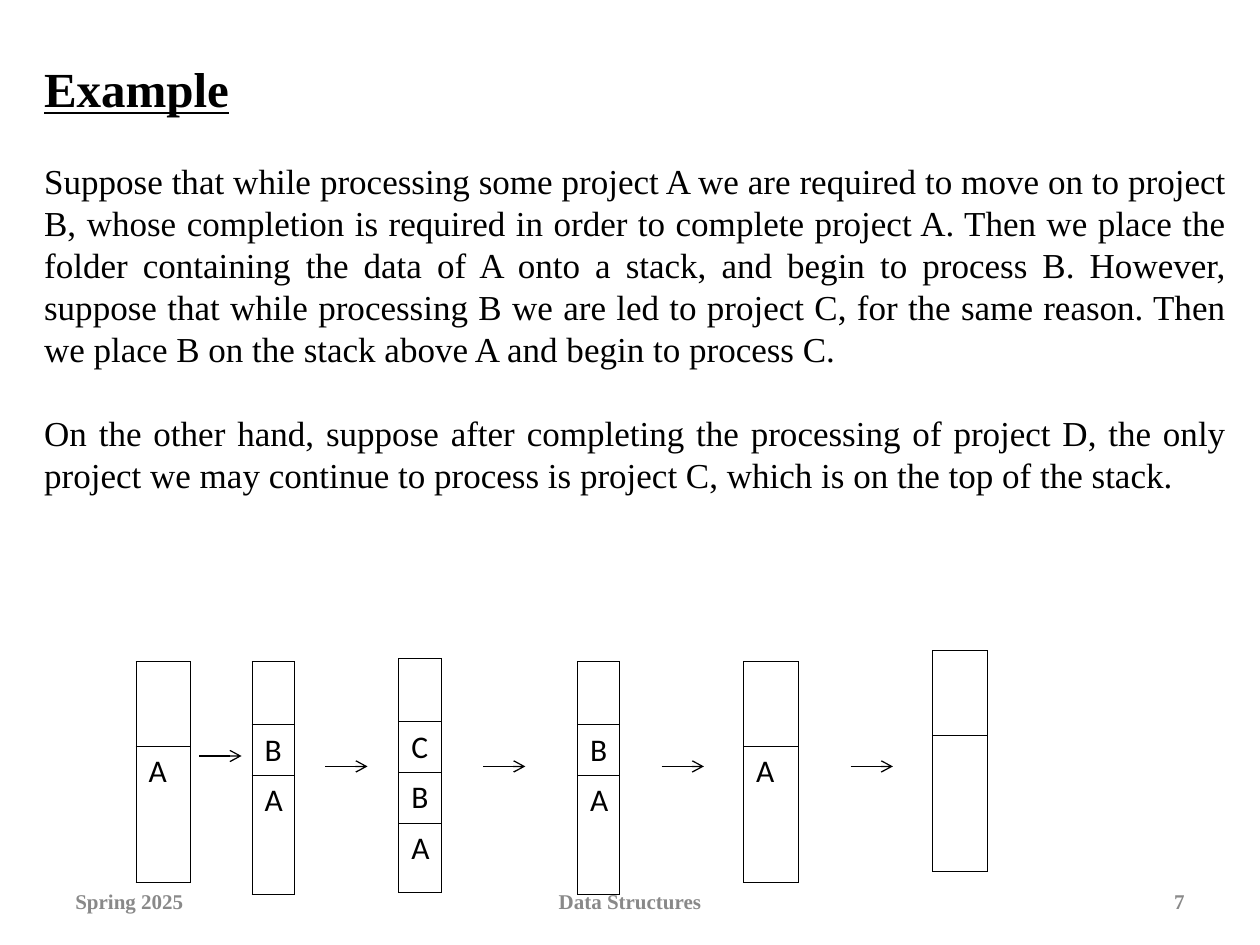
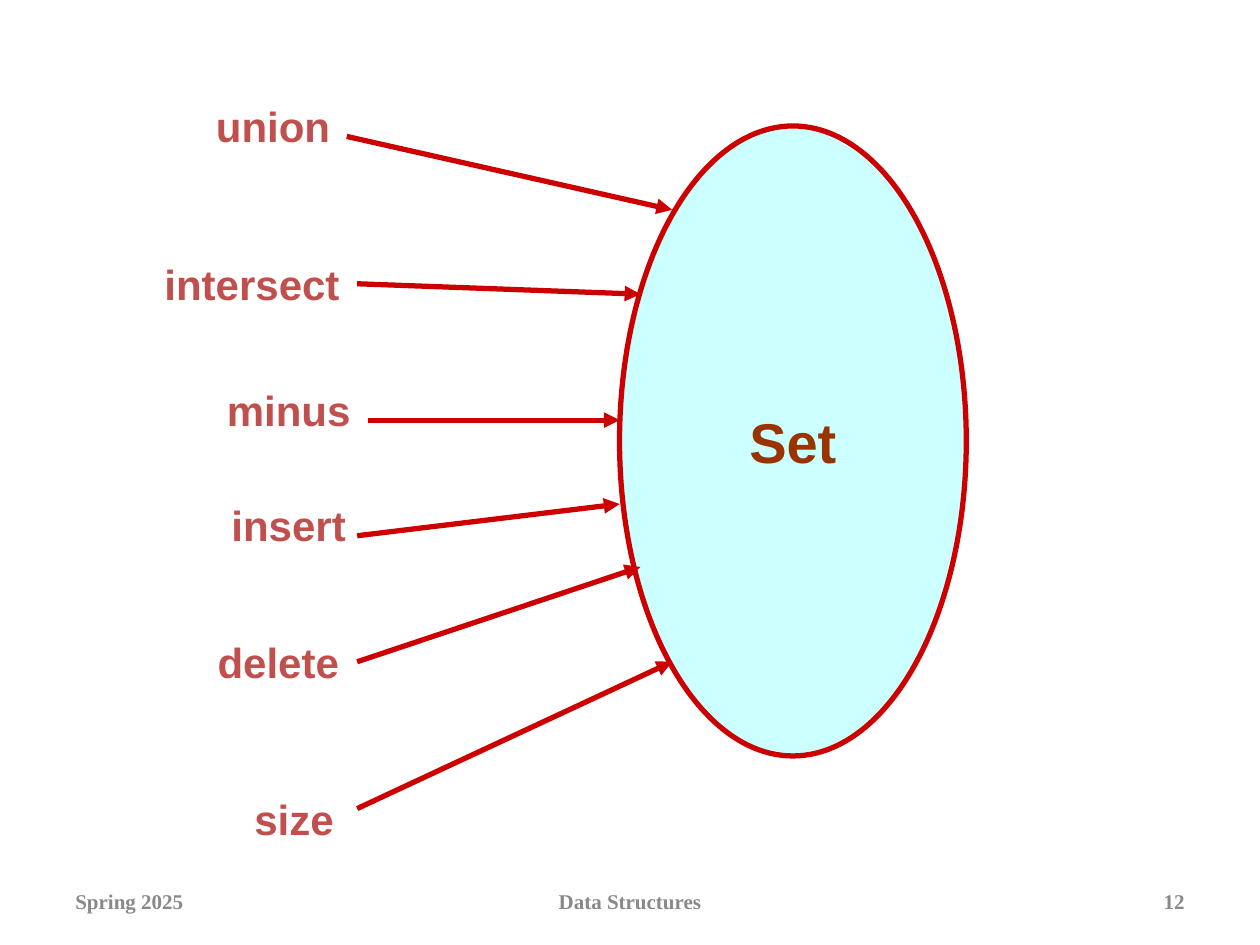
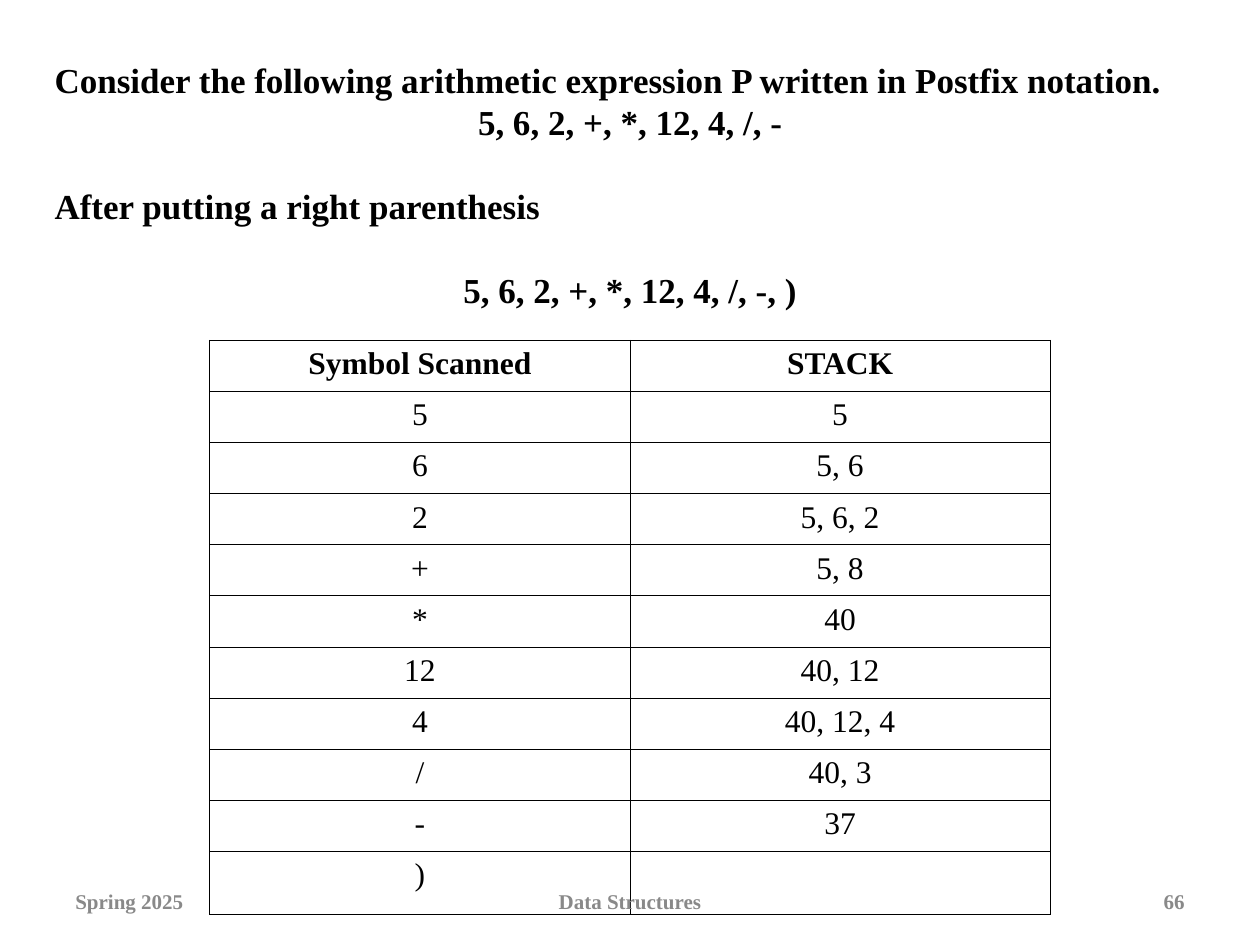
import pptx
import pptx.util
import pptx.dml.color
import pptx.enum.shapes
import pptx.enum.text
import pptx.oxml
import pptx.oxml.ns
from pptx.util import Cm, Pt

COLORS = {"black": "000000", "footer": "898989", "red": "CC0000",
          "cyan": "CCFFFF", "brown": "993300", "label": "C0504D"}
SERIF, SANS, CELL = "Times New Roman", "Arial", "Calibri"
ALIGN = {"l": pptx.enum.text.PP_ALIGN.LEFT, "c": pptx.enum.text.PP_ALIGN.CENTER,
         "r": pptx.enum.text.PP_ALIGN.RIGHT, "j": pptx.enum.text.PP_ALIGN.JUSTIFY}

# left, width, alignment, text (None stands for the slide number)
FOOTERS = [(1.27, 5.93, "l", "Spring 2025"),
           (8.68, 8.04, "c", "Data Structures"),
           (18.2, 5.93, "r", None)]

# alignment, space before, text, font changes
EXAMPLE = [
    ("j", 0, "Example", {"size": 28, "bold": True, "underline": True}),
    ("j", 24, "Suppose that while processing some project A we are required to "
     "move on to project B, whose completion is required in order to complete "
     "project A. Then we place the folder containing the data of A onto a stack, "
     "and begin to process B. However, suppose that while processing B we are led "
     "to project C, for the same reason. Then we place B on the stack above A and "
     "begin to process C.", {}),
    ("j", 24, "On the other hand, suppose after completing the processing of "
     "project D, the only project we may continue to process is project C, which "
     "is on the top of the stack.", {}),
]
POSTFIX = [
    ("l", 0, "Consider the following arithmetic expression P written in Postfix "
     "notation.", {"bold": True}),
    ("c", 0, "5, 6, 2, +, *, 12, 4, /, -", {"bold": True}),
    ("j", 24, "After putting a right parenthesis", {"bold": True}),
    ("c", 24, "5, 6, 2, +, *, 12, 4, /, -, )", {"bold": True}),
]

# left, top, width, cells from top to bottom
STACKS = [(2.74, 13.34, 1.1, ["", "A"]),
          (5.08, 13.34, 0.85, ["", "B", "A"]),
          (8.04, 13.28, 0.85, ["", "C", "B", "A"]),
          (11.64, 13.34, 0.85, ["", "B", "A"]),
          (14.99, 13.34, 1.1, ["", "A"]),
          (18.8, 13.12, 1.1, ["", ""])]
STACK_ROWS = {2: [1.7, 2.75], 3: [1.27, 1.02, 2.4], 4: [1.27, 1.02, 1.02, 1.4]}
STEP_ARROWS = [(4.02, 15.24), (6.56, 15.45), (9.74, 15.45), (13.34, 15.45),
               (17.15, 15.45)]
STEP_LENGTH = 0.85

# label, its left, top and width, arrow start, arrow end
OPERATIONS = [("union", (3.81, 1.9, 3.39), (6.99, 2.75), (13.55, 4.23)),
              ("intersect", (2.75, 5.08, 4.66), (7.2, 5.72), (12.91, 5.93)),
              ("minus", (4.02, 7.62, 3.6), (7.41, 8.47), (12.49, 8.47)),
              ("insert", (4.23, 9.95, 3.18), (7.2, 10.8), (12.49, 10.16)),
              ("delete", (4.02, 12.7, 3.18), (7.2, 13.34), (12.91, 11.43)),
              ("size", (4.66, 15.88, 2.54), (7.2, 16.3), (13.55, 13.34))]

TRACE = [("Symbol Scanned", "STACK"), ("5", "5"), ("6", "5, 6"), ("2", "5, 6, 2"),
         ("+", "5, 8"), ("*", "40"), ("12", "40, 12"), ("4", "40, 12, 4"),
         ("/", "40, 3"), ("-", "37"), (")", "")]


def rgb(name):
    return pptx.dml.color.RGBColor.from_string(COLORS[name])


def add_run(p, text, size=20, font=SERIF, color="black", bold=False,
            underline=False, align="l"):
    p.alignment = ALIGN[align]
    r = p.add_run()
    r.text = text
    r.font.name, r.font.size = font, Pt(size)
    r.font.bold, r.font.underline = bold, underline
    r.font.color.rgb = rgb(color)


def add_box(s, left, top, width, height, paragraphs, middle=False):
    tf = s.shapes.add_textbox(Cm(left), Cm(top), Cm(width), Cm(height)).text_frame
    tf.word_wrap = True
    if middle:
        tf.vertical_anchor = pptx.enum.text.MSO_ANCHOR.MIDDLE
    for i, (align, before, text, style) in enumerate(paragraphs):
        p = tf.add_paragraph() if i else tf.paragraphs[0]
        if before:
            p.space_before = Pt(before)
        add_run(p, text, align=align, **style)


def add_arrow(s, start, end, color, width, head):
    line = s.shapes.add_connector(pptx.enum.shapes.MSO_CONNECTOR.STRAIGHT,
                                  *(Cm(v) for v in start + end))
    line.line.color.rgb = rgb(color)
    line.line.width = Pt(width)
    tail = pptx.oxml.parse_xml(
        f'<a:tailEnd {pptx.oxml.ns.nsdecls("a")} type="{head}"/>')
    line.line._get_or_add_ln().append(tail)
    line._element.spPr.append(pptx.oxml.parse_xml(
        f'<a:effectLst {pptx.oxml.ns.nsdecls("a")}/>'))


def add_border(cell):
    cell.fill.background()
    tcPr = cell._tc.get_or_add_tcPr()
    for i, side in enumerate("LRTB"):
        tcPr.insert(i, pptx.oxml.parse_xml(
            f'<a:ln{side} {pptx.oxml.ns.nsdecls("a")} w="{Pt(0.45)}"><a:solidFill>'
            f'<a:srgbClr val="{COLORS["black"]}"/></a:solidFill></a:ln{side}>'))


def add_grid(s, left, top, col_width, heights, rows, font, align, bold_head=False):
    cols = len(rows[0])
    table = s.shapes.add_table(len(rows), cols, Cm(left), Cm(top),
                               Cm(col_width * cols), Cm(sum(heights))).table
    table.first_row = table.horz_banding = False
    for col in table.columns:
        col.width = Cm(col_width)
    for i, (row, height) in enumerate(zip(rows, heights)):
        table.rows[i].height = Cm(height)
        for j, text in enumerate(row):
            cell = table.cell(i, j)
            add_border(cell)
            if text:
                add_run(cell.text_frame.paragraphs[0], text, 18, font,
                        bold=bold_head and i == 0, align=align)


def add_footers(s, number):
    style = {"size": 12, "color": "footer", "bold": True}
    for left, width, align, text in FOOTERS:
        add_box(s, left, 17.65, width, 1.02,
                [(align, 0, text or str(number), style)], middle=True)


def draw_stacks(s):
    add_box(s, 0.64, 1.06, 24.34, 12.45, EXAMPLE)
    for left, top, width, cells in STACKS:
        add_grid(s, left, top, width, STACK_ROWS[len(cells)],
                 [[text] for text in cells], CELL, "l")
    for x, y in STEP_ARROWS:
        add_arrow(s, (x, y), (x + STEP_LENGTH, y), "black", 0.75, "arrow")


def draw_set(s):
    sp = s.shapes.add_shape(pptx.enum.shapes.MSO_SHAPE.OVAL,
                            Cm(12.49), Cm(2.54), Cm(6.99), Cm(12.7))
    sp.shadow.inherit = False
    sp.fill.solid()
    sp.fill.fore_color.rgb = rgb("cyan")
    sp.line.color.rgb = rgb("red")
    sp.line.width = Pt(3)
    tf = sp.text_frame
    tf.word_wrap = False
    tf.vertical_anchor = pptx.enum.text.MSO_ANCHOR.MIDDLE
    add_run(tf.paragraphs[0], "Set", 32, SANS, "brown", True, align="c")
    style = {"size": 24, "font": SANS, "color": "label", "bold": True}
    for text, (left, top, width), start, end in OPERATIONS:
        add_arrow(s, start, end, "red", 3, "triangle")
        add_box(s, left, top, width, 1.27, [("c", 0, text, style)])


def draw_trace(s):
    add_box(s, 0.85, 1.06, 23.71, 8.64, POSTFIX)
    heights = [1.03] * (len(TRACE) - 1) + [1.27]
    add_grid(s, 4.23, 6.86, 8.47, heights, TRACE, SERIF, "c", bold_head=True)


def main():
    prs = pptx.Presentation()
    prs.slide_width, prs.slide_height = Cm(25.4), Cm(19.05)
    for draw, number in [(draw_stacks, 7), (draw_set, 12), (draw_trace, 66)]:
        s = prs.slides.add_slide(prs.slide_layouts[6])
        draw(s)
        add_footers(s, number)
    prs.save("out.pptx")


if __name__ == "__main__":
    main()
